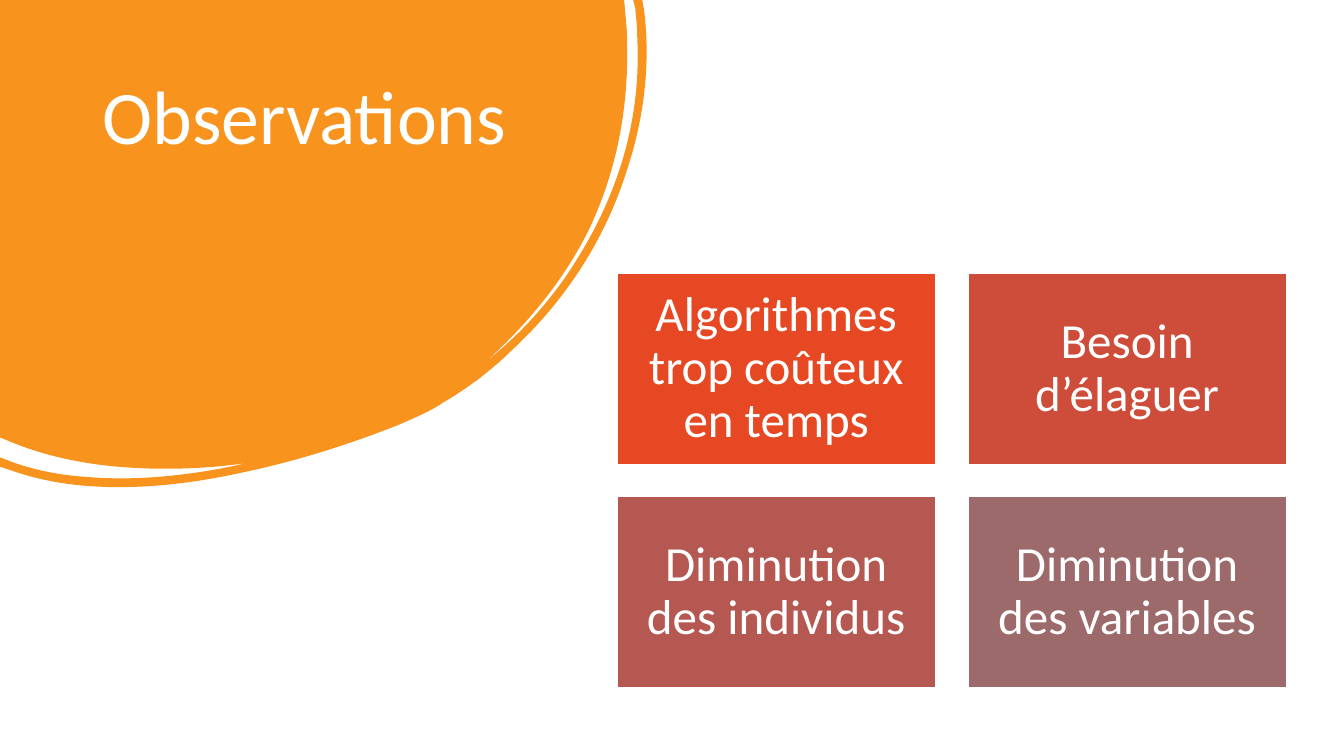
from math import cos, radians, sin

from lxml.etree import SubElement
from pptx import Presentation
from pptx.dml.color import RGBColor
from pptx.enum.shapes import MSO_SHAPE as Shape
from pptx.enum.text import MSO_ANCHOR as Anchor, MSO_AUTO_SIZE as AutoSize, PP_ALIGN as Align
from pptx.oxml.ns import qn
from pptx.util import Inches, Pt

FONT = "Calibri"
WHITE = "FFFFFF"
ORANGE = "F8931D"
BOXES = [
    ("Algorithmes trop coûteux en temps", "E64823"),
    ("Besoin d’élaguer", "CE4D3A"),
    ("Diminution des individus", "B55852"),
    ("Diminution des variables", "9C6A6A"),
]
BLOB_FRAME = (-1.16, -1.21, 7.85, 5.72)
BLOB_ROTATION = 148.1
BLOB_START = (0, 0)
BLOB_SEGMENTS = [
    (6.19, 0), (6.21, 0.23),
    (6.22, 0.33, 6.22, 0.44, 6.22, 0.54),
    (6.22, 1.15, 6.1, 1.73, 5.84, 2.28),
    (5.59, 2.78, 5.25, 3.19, 4.85, 3.56),
    (4.86, 3.56, 4.88, 3.54, 4.89, 3.53),
    (5.19, 3.28, 5.45, 2.99, 5.66, 2.67),
    (6.12, 1.97, 6.36, 1.21, 6.32, 0.38),
    (6.32, 0.28, 6.31, 0.18, 6.3, 0.08),
    (6.28, 0), (6.37, 0), (6.39, 0.12),
    (6.45, 0.64, 6.39, 1.16, 6.22, 1.68),
    (6, 2.38, 5.61, 2.98, 5.07, 3.48),
    (4.97, 3.58, 4.87, 3.66, 4.76, 3.75),
    (4.65, 3.83, 4.54, 3.91, 4.4, 3.99),
    (4.27, 4.08, 4.1, 4.15, 3.94, 4.22),
    (3.43, 4.42, 2.92, 4.58, 2.39, 4.69),
    (1.89, 4.8, 1.37, 4.86, 0.85, 4.82),
    (0.6, 4.8, 0.35, 4.75, 0.12, 4.67),
    (0, 4.63), (0, 4.54), (0.01, 4.54),
    (0.27, 4.65, 0.55, 4.71, 0.84, 4.73),
    (1.29, 4.77, 1.74, 4.73, 2.18, 4.65),
    (2.23, 4.64, 2.28, 4.63, 2.33, 4.62),
    (2.37, 4.61, 2.42, 4.6, 2.47, 4.59),
    (2.2, 4.63, 1.93, 4.65, 1.65, 4.65),
    (1.1, 4.65, 0.56, 4.58, 0.05, 4.36),
    (0, 4.34),
]


def color(hex_value):
    return RGBColor.from_string(hex_value)


def unrotated(x, y):
    left, top, width, height = BLOB_FRAME
    angle = radians(BLOB_ROTATION)
    across, down = x - left - width / 2, y - top - height / 2
    return (width / 2 + across * cos(angle) + down * sin(angle),
            height / 2 - across * sin(angle) + down * cos(angle))


def add_command(outline, tag, coordinates=()):
    command = SubElement(outline, qn(tag))
    for x, y in zip(coordinates[::2], coordinates[1::2]):
        local_x, local_y = unrotated(x, y)
        point = SubElement(command, qn("a:pt"))
        point.set("x", str(Inches(local_x)))
        point.set("y", str(Inches(local_y)))


def write_text(frame, text, size, align):
    frame.word_wrap = True
    frame.auto_size = AutoSize.NONE
    paragraph = frame.paragraphs[0]
    paragraph.alignment = align
    paragraph.line_spacing = 0.9
    run = paragraph.add_run()
    run.text = text
    run.font.name = FONT
    run.font.size = Pt(size)
    run.font.color.rgb = color(WHITE)


def add_blob(slide):
    left, top, width, height = (Inches(length) for length in BLOB_FRAME)
    builder = slide.shapes.build_freeform(left, top)
    builder.add_line_segments([(left + width, top + height)])
    blob = builder.convert_to_shape()
    outline = blob._element.xpath(".//a:path")[0]
    for command in list(outline):
        outline.remove(command)
    add_command(outline, "a:moveTo", BLOB_START)
    for segment in BLOB_SEGMENTS:
        add_command(outline, "a:lnTo" if len(segment) == 2 else "a:cubicBezTo", segment)
    add_command(outline, "a:close")
    blob.rotation = BLOB_ROTATION
    blob.shadow.inherit = False
    blob.fill.solid()
    blob.fill.fore_color.rgb = color(ORANGE)
    blob.line.fill.background()
    slide.shapes.title._element.addprevious(blob._element)


def add_title(slide, text):
    title = slide.shapes.title
    title.left, title.top = Inches(0.92), Inches(0.74)
    title.width, title.height = Inches(4.28), Inches(2.64)
    title.text_frame.vertical_anchor = Anchor.TOP
    write_text(title.text_frame, text, 54, Align.LEFT)


def add_box(slide, left, top, text, fill):
    box = slide.shapes.add_shape(
        Shape.RECTANGLE, Inches(left), Inches(top), Inches(3.16), Inches(1.9))
    box.shadow.inherit = False
    box.fill.solid()
    box.fill.fore_color.rgb = color(fill)
    box.line.color.rgb = color(WHITE)
    box.line.width = Pt(1)
    frame = box.text_frame
    frame.margin_left = frame.margin_right = Inches(0.15)
    frame.margin_top = frame.margin_bottom = Inches(0.15)
    frame.vertical_anchor = Anchor.MIDDLE
    write_text(frame, text, 35, Align.CENTER)


def main():
    presentation = Presentation()
    presentation.slide_width = Inches(13.33)
    presentation.slide_height = Inches(7.5)
    slide = presentation.slides.add_slide(presentation.slide_layouts[5])
    add_blob(slide)
    add_title(slide, "Observations")
    for index, (text, fill) in enumerate(BOXES):
        row, column = divmod(index, 2)
        add_box(slide, 6.12 + 3.48 * column, 2.71 + 2.21 * row, text, fill)
    presentation.save("out.pptx")


if __name__ == "__main__":
    main()
